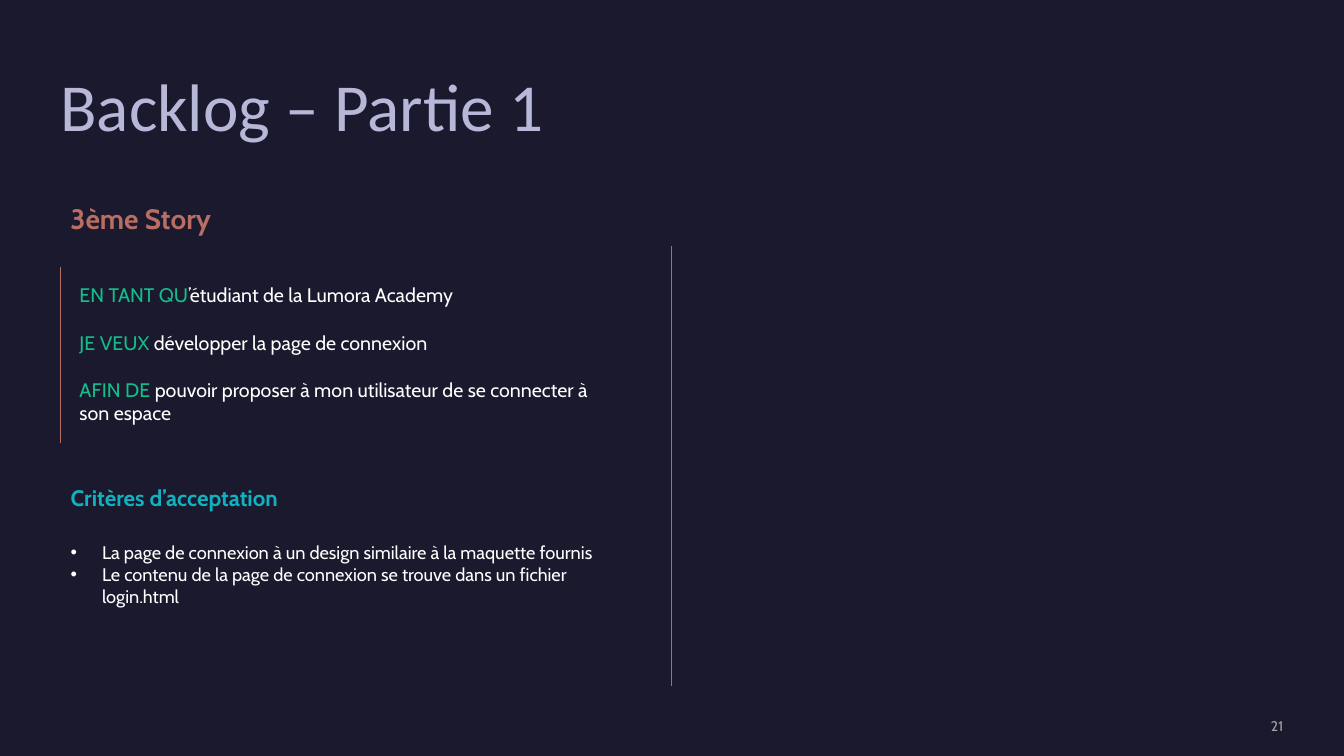
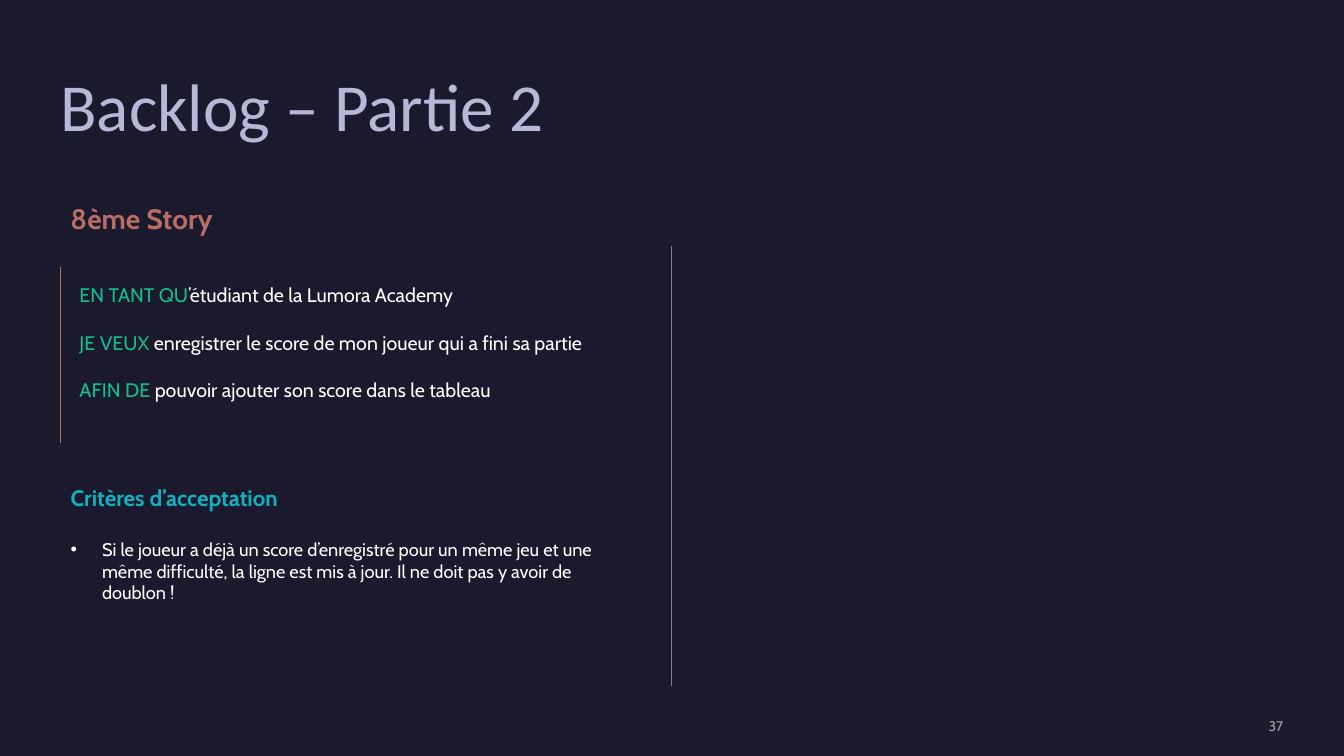
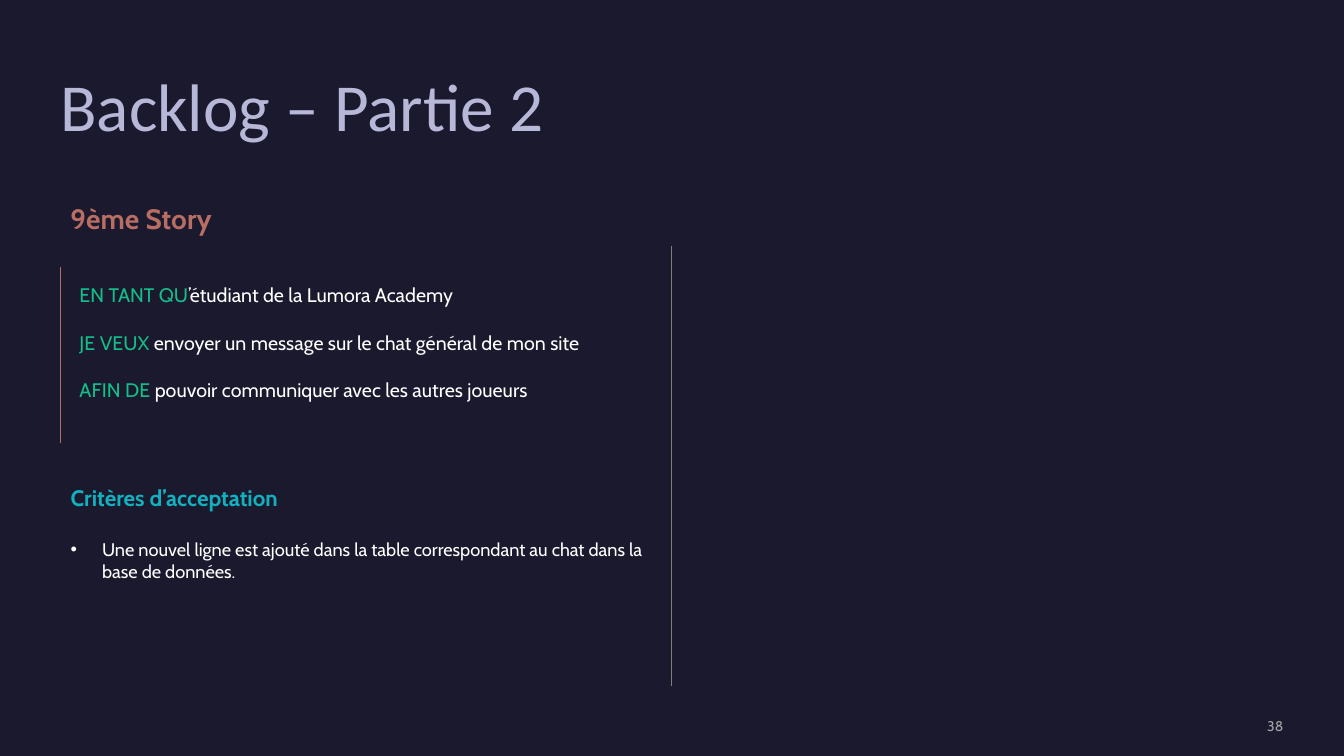
from pptx import Presentation
from pptx.dml.color import RGBColor
from pptx.enum.shapes import MSO_CONNECTOR
from pptx.enum.text import MSO_ANCHOR as Anchor, MSO_AUTO_SIZE as AutoSize, PP_ALIGN as Align
from pptx.oxml.ns import qn
from pptx.util import Pt
from lxml.etree import SubElement

INK, LAVENDER, CORAL = "1B192E", "B7B7D8", "B86E62"
GREEN, TEAL, WHITE = "13BE89", "12B1BF", "FFFFFF"
PAGE_GREY, RULE_GREY = "A5A5A5", "7F7F7F"
LEFT = 43.2
STORY_LINE = 17


def rgb(code):
    return RGBColor.from_string(code)


def write(paragraph, text, size=14, color=WHITE, bold=False, font="Cabin"):
    run = paragraph.add_run()
    run.text = text
    run.font.size = Pt(size)
    run.font.name = font
    run.font.bold = bold
    run.font.color.rgb = rgb(color)


def indent(paragraph, hang, bullet=None):
    props = paragraph._p.get_or_add_pPr()
    props.set("marL", str(Pt(hang)))
    props.set("indent", str(-Pt(hang)))
    if bullet:
        SubElement(props, qn("a:buChar")).set("char", bullet)
    else:
        SubElement(props, qn("a:buNone"))


class BacklogDeck:
    def __init__(self):
        self.deck = Presentation()
        self.deck.slide_width, self.deck.slide_height = Pt(960), Pt(540)
        backdrop = self.deck.slide_master.background.fill
        backdrop.solid()
        backdrop.fore_color.rgb = rgb(INK)
        self.slide = None

    def frame(self, shape, box, pad=(7.2, 3.6), anchor=Anchor.TOP, fit=AutoSize.SHAPE_TO_FIT_TEXT):
        shape.left, shape.top, shape.width, shape.height = map(Pt, box)
        frame = shape.text_frame
        frame.word_wrap = True
        frame.auto_size = fit
        frame.vertical_anchor = anchor
        frame.margin_left = frame.margin_right = Pt(pad[0])
        frame.margin_top = frame.margin_bottom = Pt(pad[1])
        return frame

    def text_box(self, box, **options):
        return self.frame(self.slide.shapes.add_textbox(0, 0, 0, 0), box, **options)

    def line(self, x, top, bottom, color, width):
        line = self.slide.shapes.add_connector(
            MSO_CONNECTOR.STRAIGHT, Pt(x), Pt(top), Pt(x), Pt(bottom))
        line.line.color.rgb = rgb(color)
        line.line.width = Pt(width)
        SubElement(line._element.spPr, qn("a:effectLst"))

    def title(self, text):
        heading = self.frame(self.slide.shapes.title, (LEFT, 52.56, 708.5, 123.1),
                             pad=(0, 0), fit=AutoSize.NONE).paragraphs[0]
        heading.alignment = Align.LEFT
        heading.line_spacing = 0.9
        write(heading, text, size=48, color=LAVENDER, font="Calibri")

    def page_number(self, number):
        page = self.text_box((783.4, 512.6, 133.2, 12.2), pad=(0, 0),
                             anchor=Anchor.MIDDLE, fit=AutoSize.NONE).paragraphs[0]
        page.alignment = Align.RIGHT
        write(page, str(number), size=10, color=PAGE_GREY)

    def story(self, name, clauses, lines):
        heading = self.text_box((LEFT, 140.4, 461.5, 31.5))
        write(heading.paragraphs[0], name, size=20, color=CORAL, bold=True)
        story = self.text_box((49.7, 198.7, 401.8, 7.2 + STORY_LINE * lines))
        for index, (keyword, wish) in enumerate(clauses):
            clause = story.add_paragraph() if index else story.paragraphs[0]
            clause.space_before = Pt(STORY_LINE if index else 0)
            write(clause, keyword, color=GREEN)
            write(clause, wish)
        self.line(LEFT, 190.8, 316.1, CORAL, 1)

    def criteria(self, items, width, height, gap):
        criteria = self.frame(self.slide.placeholders[1], (LEFT, 342, width, height))
        heading = criteria.paragraphs[0]
        heading.space_before = Pt(0)
        indent(heading, 0)
        write(heading, "Critères d’acceptation", size=16, color=TEAL, bold=True)
        for index, item in enumerate(items):
            criterion = criteria.add_paragraph()
            criterion.space_before = Pt(0 if index else gap)
            indent(criterion, 22.5, "•")
            write(criterion, item, size=13)

    def backlog_slide(self, part, page, rank, wish, aim, items,
                      lines=5, width=424.1, height=77.8, gap=19.5):
        self.slide = self.deck.slides.add_slide(self.deck.slide_layouts[1])
        self.title(f"Backlog – Partie {part}")
        self.page_number(page)
        self.story(f"{rank}ème Story", [
            ("EN TANT QU", "’étudiant de la Lumora Academy"),
            ("JE VEUX ", wish),
            ("AFIN DE ", aim),
        ], lines)
        self.criteria(items, width, height, gap)
        self.line(480, 175.7, 490.3, RULE_GREY, 0.75)


backlog = BacklogDeck()
backlog.backlog_slide(
    1, 21, 3, "développer la page de connexion",
    "pouvoir proposer à mon utilisateur de se connecter à son espace",
    ["La page de connexion à un design similaire à la maquette fournis",
     "Le contenu de la page de connexion se trouve dans un fichier login.html"],
    lines=6, width=408.2, height=95.8, gap=22)
backlog.backlog_slide(
    2, 37, 8, "enregistrer le score de mon joueur qui a fini sa partie",
    "pouvoir ajouter son score dans le tableau",
    ["Si le joueur a déjà un score d’enregistré pour un même jeu et une même difficulté, "
     "la ligne est mis à jour. Il ne doit pas y avoir de doublon !"])
backlog.backlog_slide(
    2, 38, 9, "envoyer un message sur le chat général de mon site",
    "pouvoir communiquer avec les autres joueurs",
    ["Une nouvel ligne est ajouté dans la table correspondant au chat dans la base de données."])
backlog.deck.save("out.pptx")
